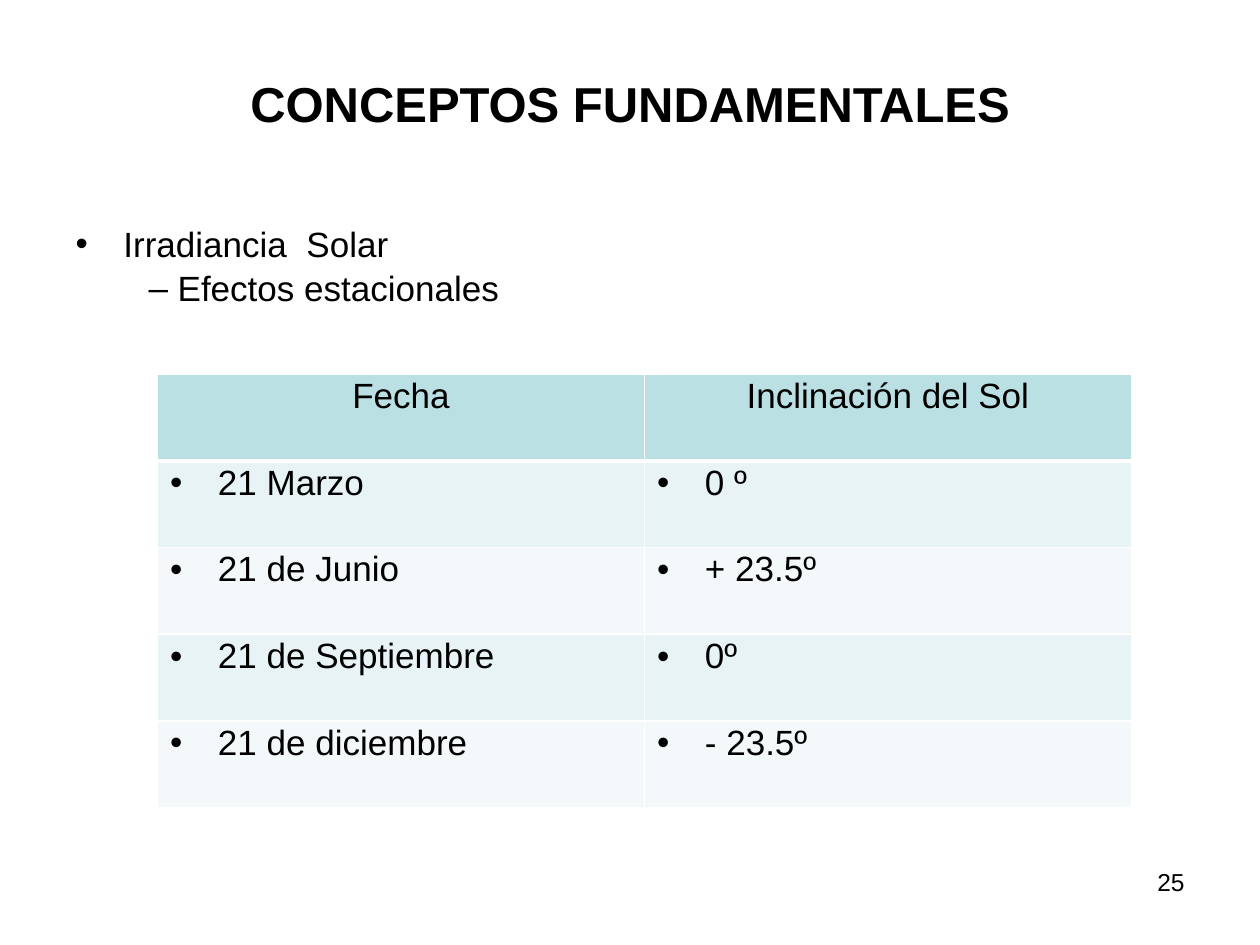
from dataclasses import dataclass

from lxml import etree
from pptx import Presentation
from pptx import util as u
from pptx.dml.color import RGBColor
from pptx.enum import text
from pptx.oxml import ns


@dataclass(frozen=True)
class Theme:
    """Colours, font and type sizes of the slide."""
    ink: str = "000000"
    border: str = "FFFFFF"
    header: str = "BBE0E3"
    bands: tuple = ("E7F3F4", "F3F9FA")
    font: str = "Arial"
    title_size: int = 28
    body_size: int = 20
    number_size: int = 14


THEME = Theme()
ALIGN = text.PP_ALIGN
FIT = text.MSO_AUTO_SIZE
BULLET_INDENT = (0.38, -0.38)
DASH_INDENT = (0.81, -0.23)


def place(part, box):
    """Move a part to the given left, top, width and height in inches."""
    for side, length in zip(("left", "top", "width", "height"), box):
        setattr(part, side, u.Inches(length))


def write(paragraph, words, size, bold=False, **layout):
    """Write one formatted run and apply paragraph settings."""
    for key, value in layout.items():
        setattr(paragraph, key, value)
    run = paragraph.add_run()
    run.text = words
    values = {"name": THEME.font, "size": u.Pt(size), "bold": bold}
    for key, value in values.items():
        setattr(run.font, key, value)
    run.font.color.rgb = RGBColor.from_string(THEME.ink)


def add_bullet(paragraph, mark, indent):
    """Give a paragraph a bullet mark and a hanging indent."""
    properties = paragraph._p.get_or_add_pPr()
    for key, length in zip(("marL", "indent"), indent):
        properties.set(key, str(u.Inches(length)))
    etree.SubElement(properties, ns.qn("a:buFont"), typeface=THEME.font)
    etree.SubElement(properties, ns.qn("a:buChar"), char=mark)


def add_borders(cell, widths):
    """Draw the cell borders with a width in points for each side."""
    properties = cell._tc.get_or_add_tcPr()
    for side, width in widths.items():
        line = etree.SubElement(properties, ns.qn(f"a:ln{side}"), w=str(u.Pt(width)))
        fill = etree.SubElement(line, ns.qn("a:solidFill"))
        etree.SubElement(fill, ns.qn("a:srgbClr"), val=THEME.border)


def fill_title(title, box, words):
    """Place the title and write it in bold."""
    place(title, box)
    title.text_frame.vertical_anchor = text.MSO_ANCHOR.MIDDLE
    title.text_frame.auto_size = FIT.SHAPE_TO_FIT_TEXT
    write(title.text_frame.paragraphs[0], words, THEME.title_size, True,
          alignment=ALIGN.CENTER)


def fill_outline(outline, box, topic, subtopic):
    """Place the body and write its topic and subtopic."""
    place(outline, box)
    frame = outline.text_frame
    frame.auto_size = FIT.NONE
    levels = ((frame.paragraphs[0], topic, "•", BULLET_INDENT, 0),
              (frame.add_paragraph(), subtopic, "–", DASH_INDENT, 4))
    for level, (paragraph, words, mark, indent, gap) in enumerate(levels):
        add_bullet(paragraph, mark, indent)
        write(paragraph, words, THEME.body_size, level=level,
              line_spacing=0.9, space_before=u.Pt(gap))


def add_seasons(slide, box, rows):
    """Add the table of dates and solar inclinations."""
    lengths = [u.Inches(length) for length in box]
    seasons = slide.shapes.add_table(len(rows), len(rows[0]), *lengths).table
    for row, entries in enumerate(rows):
        is_header = row == 0
        colour = THEME.header if is_header else THEME.bands[(row - 1) % 2]
        for column, words in enumerate(entries):
            cell = seasons.cell(row, column)
            add_borders(cell, {"L": 1, "R": 1, "T": 3 if row == 1 else 1,
                               "B": 3 if is_header else 1})
            cell.fill.solid()
            cell.fill.fore_color.rgb = RGBColor.from_string(colour)
            paragraph = cell.text_frame.paragraphs[0]
            if not is_header:
                add_bullet(paragraph, "•", BULLET_INDENT)
            write(paragraph, words, THEME.body_size, line_spacing=0.9,
                  alignment=ALIGN.CENTER if is_header else ALIGN.LEFT)


def add_page_number(slide, box, number):
    """Add the right-aligned page number."""
    page = slide.shapes.add_textbox(*[u.Inches(length) for length in box])
    page.text_frame.word_wrap = True
    write(page.text_frame.paragraphs[0], number, THEME.number_size,
          alignment=ALIGN.RIGHT)


def main():
    """Build and save the slide."""
    deck = Presentation()
    deck.slide_width, deck.slide_height = u.Inches(10), u.Inches(7.5)
    slide = deck.slides.add_slide(deck.slide_layouts[1])
    fill_title(slide.shapes.title, (0.5, 0.53, 9, 0.57), "CONCEPTOS FUNDAMENTALES")
    fill_outline(slide.placeholders[1], (0.5, 1.75, 9, 4.95),
                 "Irradiancia  Solar", "Efectos estacionales")
    add_seasons(slide, (1.25, 2.97, 7.73, 3.44), (
        ("Fecha", "Inclinación del Sol"),
        ("21 Marzo", "0 º"),
        ("21 de Junio", "+ 23.5º"),
        ("21 de Septiembre", "0º"),
        ("21 de diciembre", "- 23.5º"),
    ))
    add_page_number(slide, (7.17, 6.83, 2.33, 0.52), "25")
    deck.save("out.pptx")


if __name__ == "__main__":
    main()
